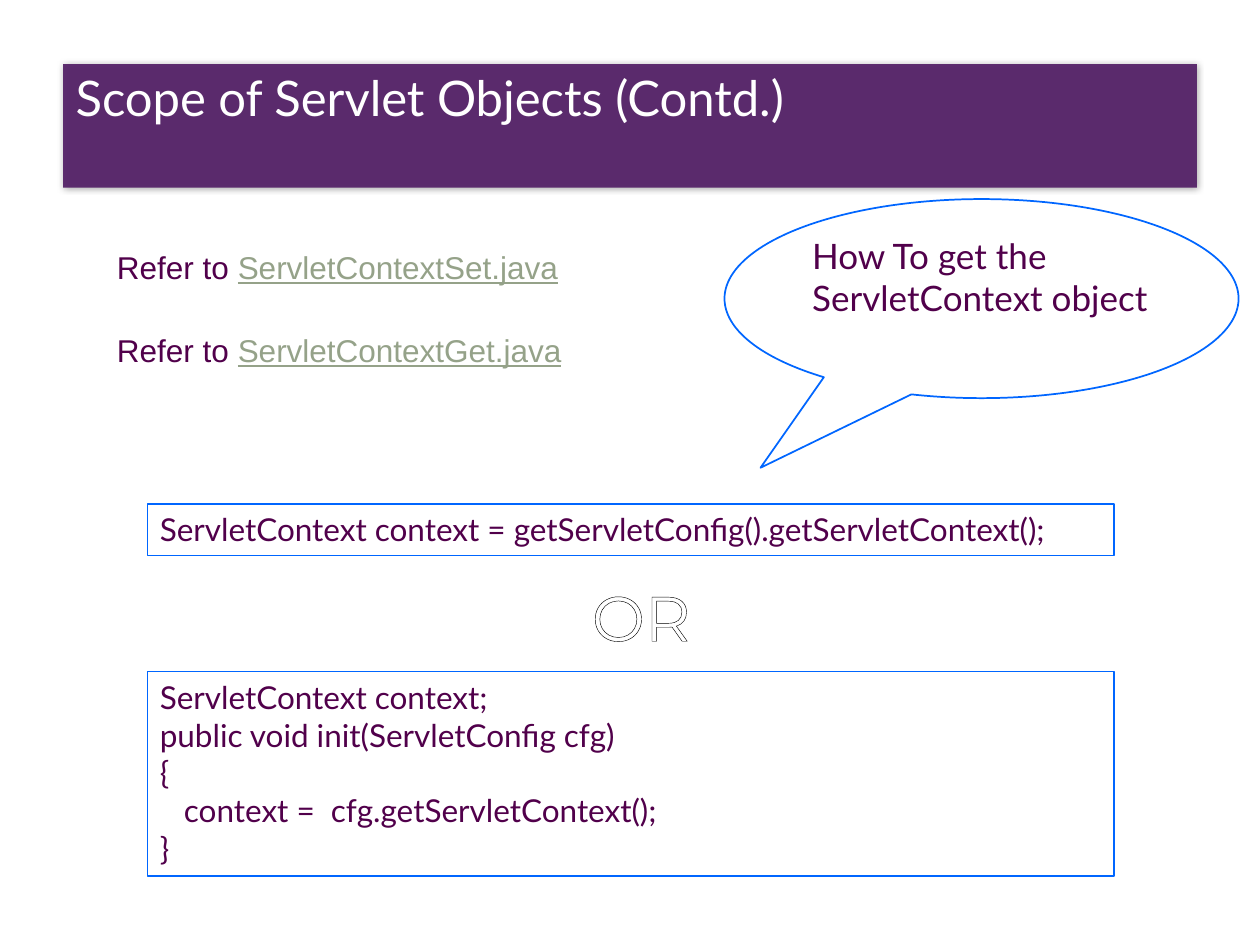
"""Build the slide on the scope of servlet objects."""
from dataclasses import dataclass

from lxml.etree import SubElement
from pptx import Presentation
from pptx.dml.color import RGBColor
from pptx.enum.shapes import MSO_SHAPE
from pptx.enum.text import MSO_ANCHOR, MSO_AUTO_SIZE, PP_ALIGN
from pptx.oxml import parse_xml
from pptx.oxml.ns import nsdecls, qn
from pptx.util import Inches, Pt


@dataclass(frozen=True)
class Theme:
    text: RGBColor = RGBColor(0x51, 0x00, 0x4B)
    border: RGBColor = RGBColor(0x00, 0x66, 0xFF)
    banner: RGBColor = RGBColor(0x56, 0x24, 0x69)
    file_name: RGBColor = RGBColor(0x95, 0xA2, 0x89)
    light: RGBColor = RGBColor(0xFF, 0xFF, 0xFF)
    dark: RGBColor = RGBColor(0x00, 0x00, 0x00)
    body_font: str = "Lato"
    reference_font: str = "Arial"
    separator_font: str = "Montserrat"
    title_size: Pt = Pt(28)
    callout_size: Pt = Pt(20)
    body_size: Pt = Pt(18)
    separator_size: Pt = Pt(36)


theme = Theme()


def set_font(paragraph, name, size, color):
    paragraph.alignment = PP_ALIGN.LEFT
    paragraph.font.name = name
    paragraph.font.size = size
    paragraph.font.color.rgb = color


def add_outlined(kind, left, top, width, height, lines, size):
    shape = slide.shapes.add_shape(
        kind, Inches(left), Inches(top), Inches(width), Inches(height)
    )
    shape.shadow.inherit = False
    shape.fill.background()
    shape.line.color.rgb = theme.border
    shape.line.width = Pt(1)
    frame = shape.text_frame
    frame.word_wrap = True
    frame.vertical_anchor = MSO_ANCHOR.TOP
    frame.text = "\n".join(lines)
    for paragraph in frame.paragraphs:
        set_font(paragraph, theme.body_font, size, theme.text)
    return shape


presentation = Presentation()
presentation.slide_width = Inches(10)
presentation.slide_height = Inches(7.5)
slide = presentation.slides.add_slide(presentation.slide_layouts[5])

title = slide.shapes.title
title.left, title.top = Inches(0.5), Inches(0.51)
title.width, title.height = Inches(9), Inches(0.98)
title.fill.solid()
title.fill.fore_color.rgb = theme.banner
banner_color = title.fill._xPr.find(qn("a:solidFill"))[0]
SubElement(banner_color, qn("a:alpha"), val="95000")
title.line.fill.background()
title._element.spPr.append(parse_xml(
    f'<a:effectLst {nsdecls("a")}><a:outerShdw blurRad="50000" dist="0" dir="0">'
    f'<a:srgbClr val="{theme.dark}"><a:alpha val="35000"/></a:srgbClr>'
    "</a:outerShdw></a:effectLst>"
))
title_frame = title.text_frame
title_frame.text = "Scope of Servlet Objects (Contd.)"
title_frame.auto_size = MSO_AUTO_SIZE.NONE
title_frame.vertical_anchor = MSO_ANCHOR.TOP
title_frame.margin_top = 0
title_frame.paragraphs[0].line_spacing = 1.05
set_font(title_frame.paragraphs[0], theme.body_font, theme.title_size, theme.light)

callout = add_outlined(
    MSO_SHAPE.OVAL_CALLOUT, 5.75, 1.58, 4.08, 1.58,
    ["How To get the ServletContext object"], theme.callout_size,
)
callout.adjustments[0] = -0.43
callout.adjustments[1] = 0.85

direct_code = ["ServletContext context = getServletConfig().getServletContext();"]
init_code = [
    "ServletContext context;",
    "public void init(ServletConfig cfg)",
    "{",
    "   context =  cfg.getServletContext();",
    "}",
]
for top, height, lines in ((4, 0.41, direct_code), (5.33, 1.62, init_code)):
    code_box = add_outlined(
        MSO_SHAPE.RECTANGLE, 1.17, top, 7.67, height, lines, theme.body_size
    )
    code_box.text_frame.auto_size = MSO_AUTO_SIZE.SHAPE_TO_FIT_TEXT

separator = slide.shapes.add_textbox(Inches(4.6), Inches(4.54), Inches(1), Inches(0.71))
separator.text_frame.word_wrap = False
separator_paragraph = separator.text_frame.paragraphs[0]
separator_run = separator_paragraph.add_run()
separator_run.text = "OR"
set_font(separator_paragraph, theme.separator_font, theme.separator_size, theme.light)
separator_run.font.color.rgb = theme.light
separator_run.font._element.insert(0, parse_xml(
    f'<a:ln {nsdecls("a")} w="9525"><a:solidFill>'
    f'<a:srgbClr val="{theme.dark}"/></a:solidFill></a:ln>'
))

for top, file_name in ((1.92, "ServletContextSet.java"), (2.58, "ServletContextGet.java")):
    reference = slide.shapes.add_textbox(Inches(0.83), Inches(top), Inches(3.75), Inches(0.4))
    reference.text_frame.word_wrap = False
    reference.text_frame.auto_size = MSO_AUTO_SIZE.SHAPE_TO_FIT_TEXT
    paragraph = reference.text_frame.paragraphs[0]
    set_font(paragraph, theme.reference_font, theme.body_size, theme.text)
    paragraph.add_run().text = "Refer to "
    file_run = paragraph.add_run()
    file_run.text = file_name
    file_run.font.color.rgb = theme.file_name
    file_run.font.underline = True

presentation.save("out.pptx")
